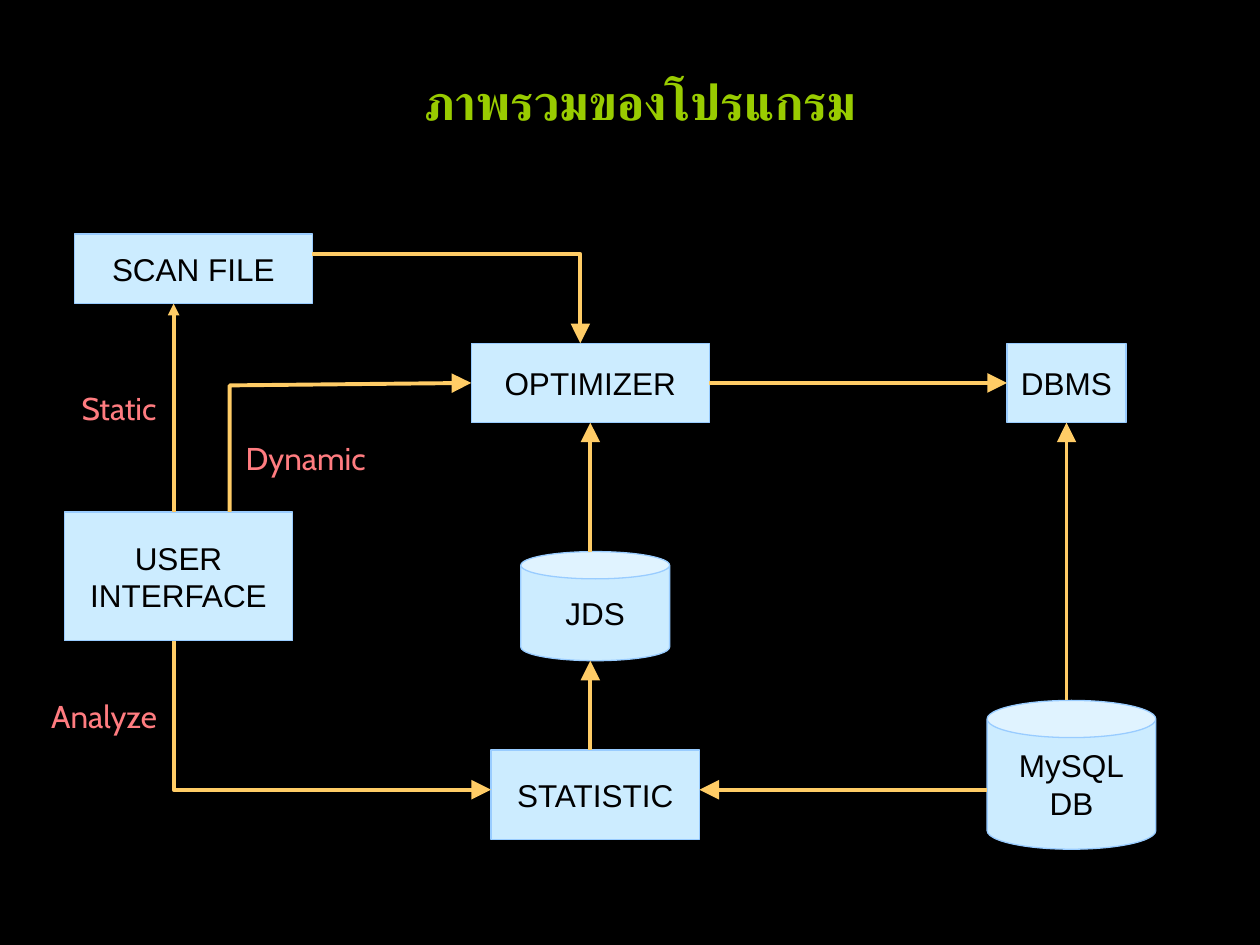
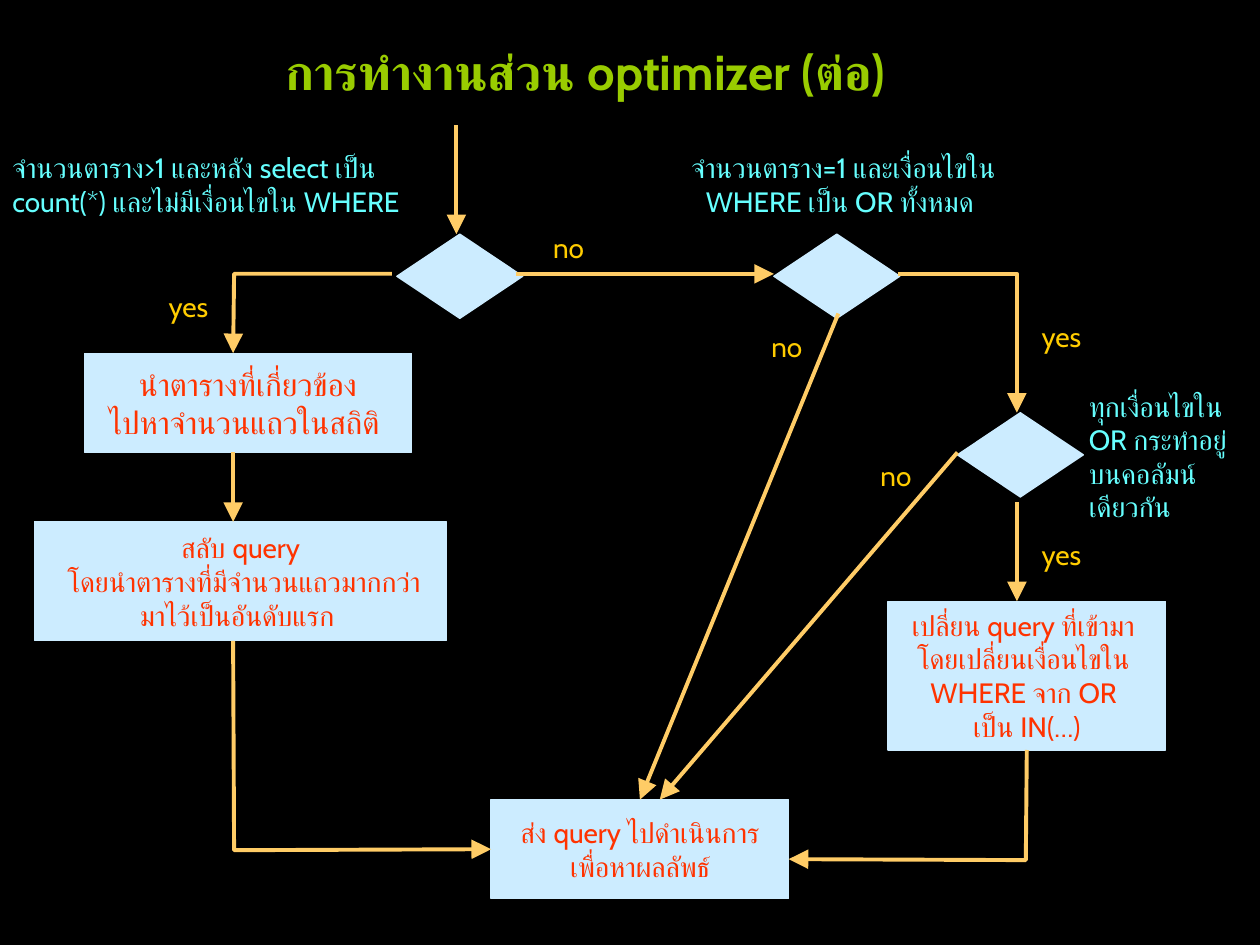
from dataclasses import dataclass, replace
from lxml.etree import SubElement
from pptx import Presentation
from pptx.dml.color import RGBColor
from pptx.enum.shapes import MSO_CONNECTOR, MSO_SHAPE
from pptx.enum.text import MSO_ANCHOR, MSO_AUTO_SIZE, PP_ALIGN
from pptx.oxml.ns import qn
from pptx.util import Inches, Pt


@dataclass(frozen=True)
class Style:
    size: int
    color: str
    font: str = "Cabin"
    bold: bool = False
    align: PP_ALIGN = PP_ALIGN.CENTER


@dataclass(frozen=True)
class Theme:
    back: str = "000000"
    fill: str = "CCECFF"
    edge: str = "99CCFF"
    arrow: str = "FFCC66"
    arrow_width: float = 2.25
    edge_width: float = 0.75
    title: Style = Style(28, "99CC00", "Montserrat", True)
    module: Style = Style(18, "000000", "Arial")
    path_name: Style = Style(18, "FF7C80")
    step: Style = Style(16, "FF3300")
    condition: Style = Style(16, "66FFFF")
    answer: Style = Style(16, "FFCC00")


T = Theme()
prs = Presentation()
prs.slide_width, prs.slide_height = Inches(10), Inches(7.5)
COL = ROW = prs.slide_width / 254  # square grid, 254 columns by 190.5 rows


def add_item(s, box, text, style, kind=None, edge=T.fill):
    """Add a text box, or a filled shape of the given kind, on the grid."""
    x, y, w, h = box
    place = [round(v) for v in (x * COL, y * ROW, w * COL, h * ROW)]
    if kind is None:
        sp = s.shapes.add_textbox(*place)
    else:
        sp = s.shapes.add_shape(kind, *place)
        sp.shadow.inherit = False
        sp.fill.solid()
        sp.fill.fore_color.rgb = RGBColor.from_string(T.fill)
        sp.line.color.rgb = RGBColor.from_string(edge)
        sp.line.width = Pt(T.edge_width)
    if not text:
        return
    tf = sp.text_frame
    tf.text = text
    tf.word_wrap = kind is None
    tf.auto_size = MSO_AUTO_SIZE.SHAPE_TO_FIT_TEXT if kind is None else MSO_AUTO_SIZE.NONE
    tf.vertical_anchor = MSO_ANCHOR.TOP if kind is None else MSO_ANCHOR.MIDDLE
    for p in tf.paragraphs:
        p.alignment = style.align
        p.font.size, p.font.name, p.font.bold = Pt(style.size), style.font, style.bold
        p.font.color.rgb = RGBColor.from_string(style.color)


def add_arrow(s, *points, head="lg"):
    """Join grid points with a straight or bent line ending in a triangle."""
    start, *rest = [(round(x * COL), round(y * ROW)) for x, y in points]
    if len(rest) == 1:
        sp = s.shapes.add_connector(MSO_CONNECTOR.STRAIGHT, *start, *rest[0])
    else:
        outline = s.shapes.build_freeform(*start)
        outline.add_line_segments(rest, close=False)
        sp = outline.convert_to_shape()
        sp.fill.background()
    sp.line.color.rgb = RGBColor.from_string(T.arrow)
    sp.line.width = Pt(T.arrow_width)
    ln = sp.line._get_or_add_ln()
    SubElement(ln, qn("a:round"))
    SubElement(ln, qn("a:tailEnd"), type="triangle", w=head, len=head)
    SubElement(sp._element.spPr, qn("a:effectLst"))


slides = []
for _ in range(2):
    s = prs.slides.add_slide(prs.slide_layouts[6])
    s.background.fill.solid()
    s.background.fill.fore_color.rgb = RGBColor.from_string(T.back)
    slides.append(s)
overview, optimizer = slides

# Program overview
add_item(overview, (71, 13.2, 116, 14.5), "ภาพรวมของโปรแกรม", T.title)
RECT, CAN = MSO_SHAPE.RECTANGLE, MSO_SHAPE.CAN
for kind, box, text in [
    (RECT, (15, 47.2, 48, 14), "SCAN FILE"),
    (RECT, (95, 69.2, 48, 16), "OPTIMIZER"),
    (RECT, (13, 103.2, 46, 26), "USER\nINTERFACE"),
    (RECT, (99, 151.2, 42, 18), "STATISTIC"),
    (RECT, (203, 69.2, 24, 16), "DBMS"),
    (CAN, (105, 111.2, 30, 22), "JDS"),
    (CAN, (199, 141.2, 34, 30), "MySQL\nDB"),
]:
    add_item(overview, box, text, T.module, kind, T.edge)

add_arrow(overview, (35, 103.2), (35, 61.2), head="med")
for points in [
    [(119, 111.2), (119, 85.2)],
    [(119, 151.2), (119, 133.2)],
    [(199, 159.2), (141, 159.2)],
    [(143, 77.2), (203, 77.2)],
    [(215, 141.2), (215, 85.2)],
    [(46.3, 103.2), (46.3, 77.7), (95, 77.2)],
    [(35, 129.2), (35, 159.2), (99, 159.2)],
    [(63, 51.2), (117, 51.2), (117, 69.2)],
]:
    add_arrow(overview, *points)

for box, text, align in [
    ((13, 77.2, 22, 10), "Static", PP_ALIGN.CENTER),
    ((47, 87.2, 30, 10), "Dynamic", PP_ALIGN.LEFT),
    ((7, 139.2, 28, 10), "Analyze", PP_ALIGN.CENTER),
]:
    add_item(overview, box, text, replace(T.path_name, align=align))

# Optimizer flow, continued
add_item(optimizer, (55, 7.2, 150, 14.5), "การทำงานส่วน optimizer (ต่อ)",
         replace(T.title, font="Cabin", align=PP_ALIGN.LEFT))
for x, y in [(80, 47.2), (156, 47.2), (193, 83.2)]:
    add_item(optimizer, (x, y, 25.4, 17), "", T.step, MSO_SHAPE.FLOWCHART_DECISION)

for box, text, size in [
    ((17, 71.2, 66, 20), "นำตารางที่เกี่ยวข้อง\nไปหาจำนวนแถวในสถิติ ", 18),
    ((7, 105.2, 83, 24),
     "สลับ query\n โดยนำตารางที่มีจำนวนแถวมากกว่า\nมาไว้เป็นอันดับแรก ", 16),
    ((99, 161.2, 60, 20), "ส่ง query ไปดำเนินการ\nเพื่อหาผลลัพธ์", 16),
    ((179, 121.2, 56, 30),
     "เปลี่ยน query ที่เข้ามา \nโดยเปลี่ยนเงื่อนไขใน \nWHERE จาก OR \nเป็น IN(…)", 16),
]:
    add_item(optimizer, box, text, replace(T.step, size=size), RECT)

for box, text, align in [
    ((0, 29.2, 93, 17),
     "จำนวนตาราง>1 และหลัง select เป็น count(*) และไม่มีเงื่อนไขใน WHERE", PP_ALIGN.LEFT),
    ((130, 29.2, 80, 17),
     "จำนวนตาราง=1 และเงื่อนไขใน WHERE เป็น OR ทั้งหมด ", PP_ALIGN.CENTER),
    ((217, 77.2, 37, 29.7),
     "ทุกเงื่อนไขใน OR กระทำอยู่บนคอลัมน์ เดียวกัน", PP_ALIGN.LEFT),
]:
    add_item(optimizer, box, text, replace(T.condition, align=align))

for points in [
    [(92, 25.2), (92, 47.2)],
    [(104, 55.2), (156, 55.2)],
    [(47, 91.2), (47, 105.2)],
    [(205, 101.2), (205, 121.2)],
    [(169, 63.2), (129, 161.2)],
    [(193, 91.2), (133, 161.2)],
    [(181, 55.2), (205, 55.2), (205, 83.2)],
    [(47, 129.2), (47.2, 171.4), (99, 171.2)],
    [(207, 151.2), (206.8, 173.4), (159, 173.2)],
    [(79, 55.2), (47.2, 55.2), (47, 71.2)],
]:
    add_arrow(optimizer, *points)

for text, w, align, corners in [
    ("yes", 14, PP_ALIGN.CENTER, [(31, 57.2), (207, 107.2), (207, 63.2)]),
    ("no", 12, PP_ALIGN.LEFT, [(153, 65.2), (109, 45.2), (175, 91.2)]),
]:
    for x, y in corners:
        add_item(optimizer, (x, y, w, 9.4), text, replace(T.answer, align=align))

prs.save("out.pptx")
